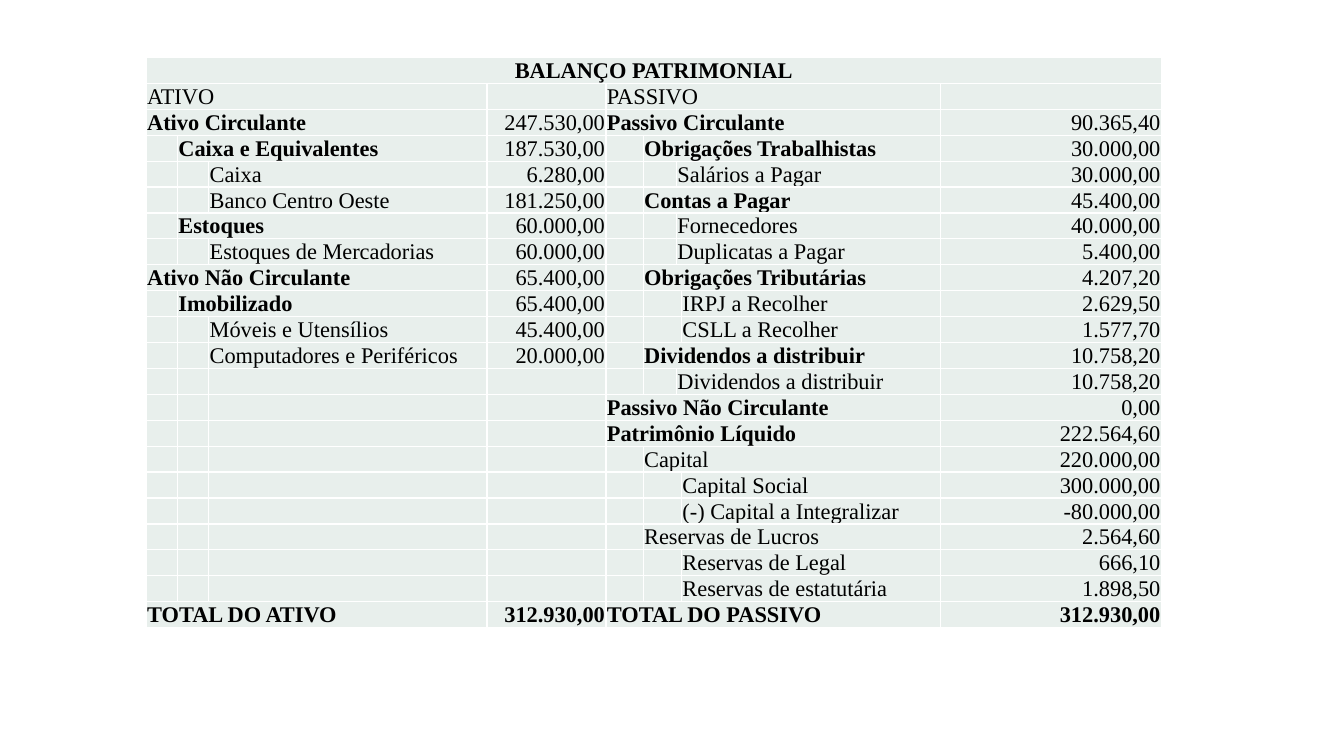
from lxml.etree import SubElement
from pptx import Presentation
from pptx.dml.color import RGBColor
from pptx.enum.text import MSO_ANCHOR, PP_ALIGN
from pptx.oxml.ns import qn
from pptx.util import Inches, Pt

COLORS = {"cell": "E8EFEC", "border": "FFFFFF", "text": "000000"}
FONT_SIZE = 16
EMPTY_CELL_SIZE = 10
COLUMN_WIDTHS = [0.31, 0.31, 2.76, 1.18, 0.37, 0.33, 0.05, 2.57, 2.19]
ROW_HEIGHT = 0.25
CELL_FORMAT = {
    "margin_left": Inches(0.01),
    "margin_top": Inches(0.01),
    "margin_right": Inches(0.01),
    "margin_bottom": 0,
    "vertical_anchor": MSO_ANCHOR.BOTTOM,
}
TITLE = "BALANÇO PATRIMONIAL"
REGULAR_HEADINGS = {"ATIVO", "PASSIVO", "Capital", "Reservas de Lucros"}

ATIVO = [
    (0, "ATIVO", ""),
    (0, "Ativo Circulante", "247.530,00"),
    (1, "Caixa e Equivalentes", "187.530,00"),
    (2, "Caixa", "6.280,00"),
    (2, "Banco Centro Oeste", "181.250,00"),
    (1, "Estoques", "60.000,00"),
    (2, "Estoques de Mercadorias", "60.000,00"),
    (0, "Ativo Não Circulante", "65.400,00"),
    (1, "Imobilizado", "65.400,00"),
    (2, "Móveis e Utensílios", "45.400,00"),
    (2, "Computadores e Periféricos", "20.000,00"),
]
PASSIVO = [
    (0, "PASSIVO", ""),
    (0, "Passivo Circulante", "90.365,40"),
    (1, "Obrigações Trabalhistas", "30.000,00"),
    (2, "Salários a Pagar", "30.000,00"),
    (1, "Contas a Pagar", "45.400,00"),
    (2, "Fornecedores", "40.000,00"),
    (2, "Duplicatas a Pagar", "5.400,00"),
    (1, "Obrigações Tributárias", "4.207,20"),
    (3, "IRPJ a Recolher", "2.629,50"),
    (3, "CSLL a Recolher", "1.577,70"),
    (1, "Dividendos a distribuir", "10.758,20"),
    (2, "Dividendos a distribuir", "10.758,20"),
    (0, "Passivo Não Circulante", "0,00"),
    (0, "Patrimônio Líquido", "222.564,60"),
    (1, "Capital", "220.000,00"),
    (3, "Capital Social", "300.000,00"),
    (3, "(-) Capital a Integralizar", "-80.000,00"),
    (1, "Reservas de Lucros", "2.564,60"),
    (3, "Reservas de Legal", "666,10"),
    (3, "Reservas de estatutária", "1.898,50"),
]
TOTAL_ATIVO = (0, "TOTAL DO ATIVO", "312.930,00")
TOTAL_PASSIVO = (0, "TOTAL DO PASSIVO", "312.930,00")
TOTAL_ROW = len(PASSIVO) + 1


def format_cell(cell):
    for name, value in CELL_FORMAT.items():
        setattr(cell, name, value)
    properties = cell._tc.get_or_add_tcPr()
    for side in ("lnL", "lnR", "lnT", "lnB"):
        border = SubElement(properties, qn(f"a:{side}"), w=str(Pt(1)))
        border_fill = SubElement(border, qn("a:solidFill"))
        SubElement(border_fill, qn("a:srgbClr"), val=COLORS["border"])
    cell.fill.solid()
    cell.fill.fore_color.rgb = RGBColor.from_string(COLORS["cell"])
    paragraph_xml = cell.text_frame.paragraphs[0]._p
    SubElement(paragraph_xml, qn("a:endParaRPr"), sz=str(EMPTY_CELL_SIZE * 100))


def write_cell(cell, text, align=PP_ALIGN.LEFT, bold=False):
    paragraph = cell.text_frame.paragraphs[0]
    paragraph.alignment = align
    run = paragraph.add_run()
    run.text = text
    font_format = {"name": "Times New Roman", "size": Pt(FONT_SIZE), "bold": bold}
    for name, value in font_format.items():
        setattr(run.font, name, value)
    run.font.color.rgb = RGBColor.from_string(COLORS["text"])


def merge_cells(table, row, first, last):
    if first < last:
        table.cell(row, first).merge(table.cell(row, last))


def write_account(table, row, account, first_column, value_column):
    level, label, value = account
    label_column = first_column + level
    merge_cells(table, row, label_column, value_column - 1)
    if level == 3:
        merge_cells(table, row, label_column - 2, label_column - 1)
    bold = level < 2 and label not in REGULAR_HEADINGS
    write_cell(table.cell(row, label_column), label, bold=bold)
    if value:
        value_cell = table.cell(row, value_column)
        write_cell(value_cell, value, PP_ALIGN.RIGHT, row == TOTAL_ROW)


def add_balance_sheet(slide, left, top, width):
    row_count = TOTAL_ROW + 1
    frame = slide.shapes.add_table(
        row_count, len(COLUMN_WIDTHS), Inches(left), Inches(top),
        Inches(width), Inches(ROW_HEIGHT * row_count),
    )
    table = frame.table
    table.horz_banding = False
    table.first_row = False
    for column, column_width in zip(table.columns, COLUMN_WIDTHS):
        column.width = Inches(column_width)
    for row in table.rows:
        row.height = Inches(ROW_HEIGHT)
        for cell in row.cells:
            format_cell(cell)

    merge_cells(table, 0, 0, len(COLUMN_WIDTHS) - 1)
    write_cell(table.cell(0, 0), TITLE, PP_ALIGN.CENTER, True)
    sides = [(ATIVO, TOTAL_ATIVO, 0, 3), (PASSIVO, TOTAL_PASSIVO, 4, 8)]
    for accounts, total, first_column, value_column in sides:
        for row, account in enumerate(accounts, start=1):
            write_account(table, row, account, first_column, value_column)
        write_account(table, TOTAL_ROW, total, first_column, value_column)


def main():
    presentation = Presentation()
    presentation.slide_width = Inches(13.33)
    presentation.slide_height = Inches(7.5)
    slide = presentation.slides.add_slide(presentation.slide_layouts[6])
    add_balance_sheet(slide, 1.45, 0.57, sum(COLUMN_WIDTHS))
    presentation.save("out.pptx")


if __name__ == "__main__":
    main()
